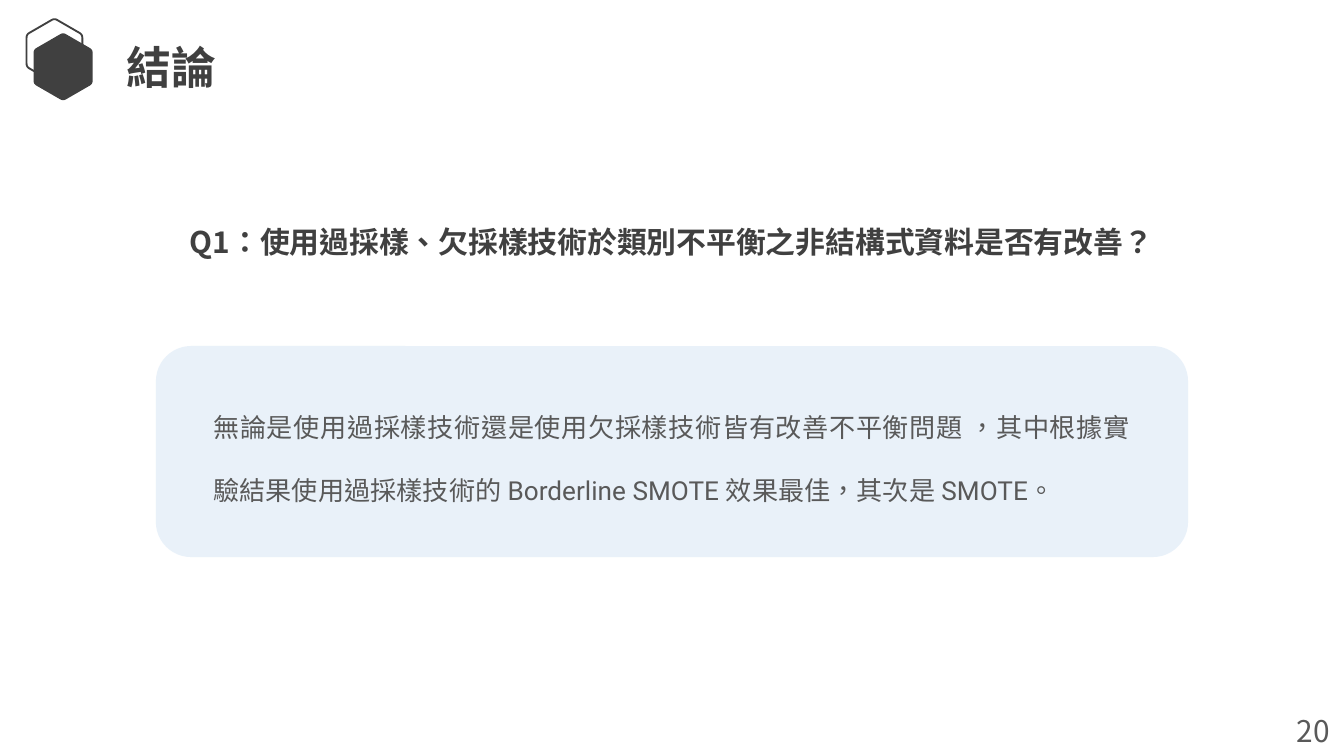
from dataclasses import dataclass
from math import cos, pi, sin
from typing import Optional

from lxml import etree
from pptx import Presentation
from pptx.dml.color import RGBColor
from pptx.enum.shapes import MSO_SHAPE
from pptx.enum.text import MSO_ANCHOR, MSO_AUTO_SIZE, PP_ALIGN
from pptx.oxml.ns import qn
from pptx.util import Inches, Pt

ROUND_RECT = MSO_SHAPE.ROUNDED_RECTANGLE
TOP, MIDDLE = MSO_ANCHOR.TOP, MSO_ANCHOR.MIDDLE
GROW = MSO_AUTO_SIZE.SHAPE_TO_FIT_TEXT
LEFT, CENTER, JUSTIFY = PP_ALIGN.LEFT, PP_ALIGN.CENTER, PP_ALIGN.JUSTIFY

CELL = Inches(0.1)  # the slide is a 16:9 grid of 100 columns by 56.25 rows
COLUMNS, ROWS = 100, 56.25
CJK_FONT, LATIN_FONT = "Noto Sans CJK JP", "Roboto"
COLORS = {"dark": "404040", "gray": "595959", "panel": "DEEBF7"}
PANEL_OPACITY = 65
CORNER_SHARE = 0.1  # share of a hexagon side taken by each rounded corner
CORNER_STEPS = 6


@dataclass(frozen=True)
class Area:
    col: float
    row: float
    cols: float
    rows: float

    def emu(self) -> tuple:
        return tuple(grid(n) for n in (self.col, self.row, self.cols, self.rows))


@dataclass(frozen=True)
class Hexagon:
    area: Area
    filled: bool


@dataclass(frozen=True)
class Label:
    area: Area
    text: str
    size: int
    color: str
    font: str = CJK_FONT
    bold: bool = False
    align: PP_ALIGN = LEFT
    anchor: MSO_ANCHOR = TOP
    wrap: bool = True
    margins: tuple = (1, 0.5)
    line_spacing: Optional[float] = None
    space_after: int = 0
    hanging: float = 0


HEXAGONS = [
    Hexagon(Area(1.98, 1.37, 4.15, 4.8), filled=False),
    Hexagon(Area(2.5, 2.42, 4.4, 5.1), filled=True),
]
PANEL = Area(11.6, 25.75, 76.8, 15.7)
LABELS = [
    Label(Area(8.7, 2.55, 17.7, 4.8), "結論", 24, "dark", bold=True, margins=(0.7, 0.4)),
    Label(Area(12.65, 15.35, 74.7, 4.1),
          "Q1：使用過採樣、欠採樣技術於類別不平衡之非結構式資料是否有改善？",
          16, "dark", bold=True, align=CENTER, line_spacing=Pt(25),
          space_after=12, hanging=4.8),
    Label(Area(95.5, 52.55, 4.5, 3.7), "20", 16, "gray", wrap=False),
    Label(Area(14.9, 28.1, 70.15, 9.7),
          "無論是使用過採樣技術還是使用欠採樣技術皆有改善不平衡問題 ，其中根據實驗結果"
          "使用過採樣技術的 Borderline SMOTE 效果最佳，其次是 SMOTE。",
          14, "gray", font=LATIN_FONT, align=JUSTIFY, anchor=MIDDLE, line_spacing=2.0),
]


def grid(cells: float) -> int:
    return round(cells * CELL)


def rgb(name: str) -> RGBColor:
    return RGBColor.from_string(COLORS[name])


def rounded_hexagon_points(area: Area) -> list:
    """Outline of a pointy-top hexagon, each corner a sampled quadratic curve."""
    left, top, width, height = area.emu()
    corners = [(left + width * (0.5 + sin(k * pi / 3) / (2 * sin(pi / 3))),
                top + height * (0.5 - cos(k * pi / 3) / 2)) for k in range(6)]
    points = []
    for k, corner in enumerate(corners):
        before, after = corners[k - 1], corners[(k + 1) % 6]
        for step in range(CORNER_STEPS + 1):
            t = step / CORNER_STEPS
            pull_back, pull_on = CORNER_SHARE * (1 - t) ** 2, CORNER_SHARE * t ** 2
            points.append(tuple(c + pull_back * (b - c) + pull_on * (a - c)
                                for c, b, a in zip(corner, before, after)))
    return points


def draw_hexagon(slide, hexagon: Hexagon) -> None:
    start, *rest = rounded_hexagon_points(hexagon.area)
    builder = slide.shapes.build_freeform(*start)
    builder.add_line_segments(rest, close=True)
    outline = builder.convert_to_shape()
    outline.shadow.inherit = False
    if hexagon.filled:
        outline.fill.solid()
        outline.fill.fore_color.rgb = rgb("dark")
        outline.line.fill.background()
    else:
        outline.fill.background()
        outline.line.color.rgb = rgb("dark")
        outline.line.width = Pt(1)


def draw_panel(slide, area: Area) -> None:
    panel = slide.shapes.add_shape(ROUND_RECT, *area.emu())
    panel.shadow.inherit = False
    panel.fill.solid()
    panel.fill.fore_color.rgb = rgb("panel")
    panel.line.fill.background()
    color = panel.fill._xPr.find(".//" + qn("a:srgbClr"))
    etree.SubElement(color, qn("a:alpha"), val=str(PANEL_OPACITY * 1000))


def draw_label(slide, label: Label) -> None:
    frame = slide.shapes.add_textbox(*label.area.emu()).text_frame
    frame.word_wrap = label.wrap
    frame.auto_size = GROW
    frame.vertical_anchor = label.anchor
    frame.margin_left = frame.margin_right = grid(label.margins[0])
    frame.margin_top = frame.margin_bottom = grid(label.margins[1])

    paragraph = frame.paragraphs[0]
    paragraph.alignment = label.align
    paragraph.line_spacing = label.line_spacing
    paragraph.space_after = Pt(label.space_after)
    if label.hanging:
        properties = paragraph._p.get_or_add_pPr()
        properties.set("marL", str(grid(label.hanging)))
        properties.set("indent", str(-grid(label.hanging)))

    run = paragraph.add_run()
    run.text = label.text
    run.font.size = Pt(label.size)
    run.font.bold = label.bold
    run.font.color.rgb = rgb(label.color)
    run.font.name = label.font
    properties = run._r.get_or_add_rPr()
    properties.set("lang", "zh-TW")
    etree.SubElement(properties, qn("a:ea"), typeface=CJK_FONT)


def main() -> None:
    deck = Presentation()
    deck.slide_width, deck.slide_height = grid(COLUMNS), grid(ROWS)
    slide = deck.slides.add_slide(deck.slide_layouts[6])
    for hexagon in HEXAGONS:
        draw_hexagon(slide, hexagon)
    draw_panel(slide, PANEL)
    for label in LABELS:
        draw_label(slide, label)
    deck.save("out.pptx")


if __name__ == "__main__":
    main()
